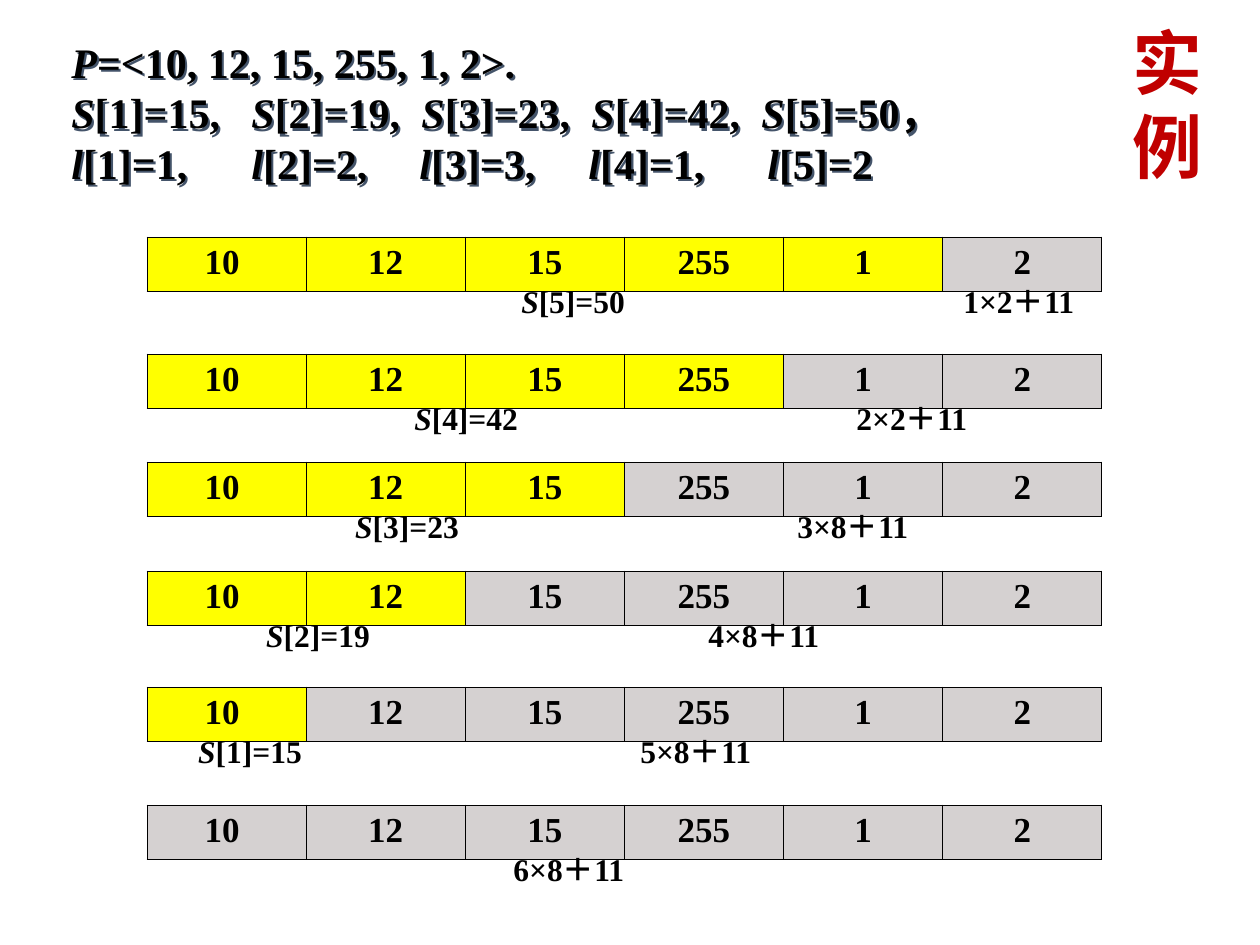
from lxml import etree
from pptx import Presentation
from pptx import util as u
from pptx.dml.color import RGBColor
from pptx.enum import text
from pptx.oxml import parse_xml
from pptx.oxml.ns import nsdecls, qn

PX = 914400 / 126
YELLOW, GREY, BLACK, RED = "FFFF00", "D5D1D1", "000000", "C00000"


def px(count):
    return u.Emu(round(count * PX))


def write(paragraph, runs, size, color=BLACK, font="Times New Roman", tabs=()):
    """Add bold runs; a run whose text is a single letter is italic."""
    if tabs:
        tab_list = etree.SubElement(paragraph._p.get_or_add_pPr(), qn("a:tabLst"))
        for stop in tabs:
            etree.SubElement(tab_list, qn("a:tab"), pos=str(px(stop)), algn="l")
    for content in runs:
        run = paragraph.add_run()
        run.text = content
        style = {"name": font, "size": u.Pt(size), "bold": True,
                 "italic": content in ("P", "S", "l")}
        for key, value in style.items():
            setattr(run.font, key, value)
        run.font.color.rgb = RGBColor.from_string(color)


presentation = Presentation()
presentation.slide_width, presentation.slide_height = px(1260), px(945)
slide = presentation.slides.add_slide(presentation.slide_layouts[6])

# Title, one character on each line
title = slide.shapes.add_textbox(px(1103), px(21), px(129), px(166))
frame = title.text_frame
frame_format = {"word_wrap": True, "vertical_anchor": text.MSO_ANCHOR.MIDDLE,
                "margin_top": 0, "margin_bottom": 0}
for key, value in frame_format.items():
    setattr(frame, key, value)
paragraph = frame.paragraphs[0]
paragraph.alignment = text.PP_ALIGN.CENTER
paragraph.line_spacing = u.Pt(47.5)
write(paragraph, ["实"], 40, RED, "Calibri")
paragraph.add_line_break()
write(paragraph, ["例"], 40, RED, "Calibri")

# Given sequence with its S and l values
header = slide.shapes.add_textbox(px(59), px(30), px(1231), px(164))
header._element.spPr.append(parse_xml(
    f'<a:effectLst {nsdecls("a")}><a:outerShdw dist="{px(3)}" dir="2700000">'
    '<a:srgbClr val="44546A"/></a:outerShdw></a:effectLst>'))
frame = header.text_frame
frame.word_wrap = True
frame.vertical_anchor = text.MSO_ANCHOR.MIDDLE
header_lines = [
    (["P", "=<10, 12, 15, 255, 1, 2>."], ()),
    (["S", "[1]=15,\t", "S", "[2]=19,\t", "S", "[3]=23,\t", "S", "[4]=42,\t",
      "S", "[5]=50，"], (180, 350, 520, 690)),
    (["l", "[1]=1,\t", "l", "[2]=2,\t", "l", "[3]=3,\t", "l", "[4]=1,\t",
      "l", "[5]=2"], (180, 348, 517, 696)),
]
for index, (runs, tabs) in enumerate(header_lines):
    paragraph = frame.add_paragraph() if index else frame.paragraphs[0]
    write(paragraph, runs, 24, tabs=tabs)
    paragraph.line_spacing = u.Pt(29)

# Split rows: table top, yellow cells, caption left, caption width, caption
sequence = ["10 ", "12", "15", "255", "1", "2"]
splits = [
    (237, 5, 501, 630, [" ", "S", "[5]=50\t1×2＋11"]),
    (354, 4, 394, 738, [" ", "S", "[4]=42\t2×2＋11"]),
    (462, 3, 335, 630, [" ", "S", "[3]=23\t3×8＋11"]),
    (571, 2, 246, 630, [" ", "S", "[2]=19\t4×8＋11"]),
    (687, 1, 178, 630, [" ", "S", "[1]=15\t5×8＋11"]),
    (805, 0, 501, 630, ["6×8＋11"]),
]
for top, yellow_count, left, width, runs in splits:
    table = slide.shapes.add_table(
        1, len(sequence), px(147), px(top), px(955), px(42)).table
    table.first_row = table.horz_banding = False
    for index, value in enumerate(sequence):
        table.columns[index].width = px(955 / len(sequence))
        cell = table.cell(0, index)
        cell.margin_left = cell.margin_right = px(10)
        cell.fill.solid()
        cell.fill.fore_color.rgb = RGBColor.from_string(
            YELLOW if index < yellow_count else GREY)
        for position, side in enumerate(("lnL", "lnR", "lnT", "lnB")):
            cell._tc.get_or_add_tcPr().insert(position, parse_xml(
                f'<a:{side} {nsdecls("a")} w="{u.Pt(0.45)}"><a:solidFill>'
                f'<a:srgbClr val="{BLACK}"/></a:solidFill></a:{side}>'))
        paragraph = cell.text_frame.paragraphs[0]
        paragraph.alignment = text.PP_ALIGN.CENTER
        write(paragraph, [value], 20)

    caption = slide.shapes.add_textbox(px(left), px(top + 39), px(width), px(50))
    caption.text_frame.word_wrap = True
    caption.text_frame.auto_size = text.MSO_AUTO_SIZE.SHAPE_TO_FIT_TEXT
    write(caption.text_frame.paragraphs[0], runs, 18, tabs=(450,))

presentation.save("out.pptx")
